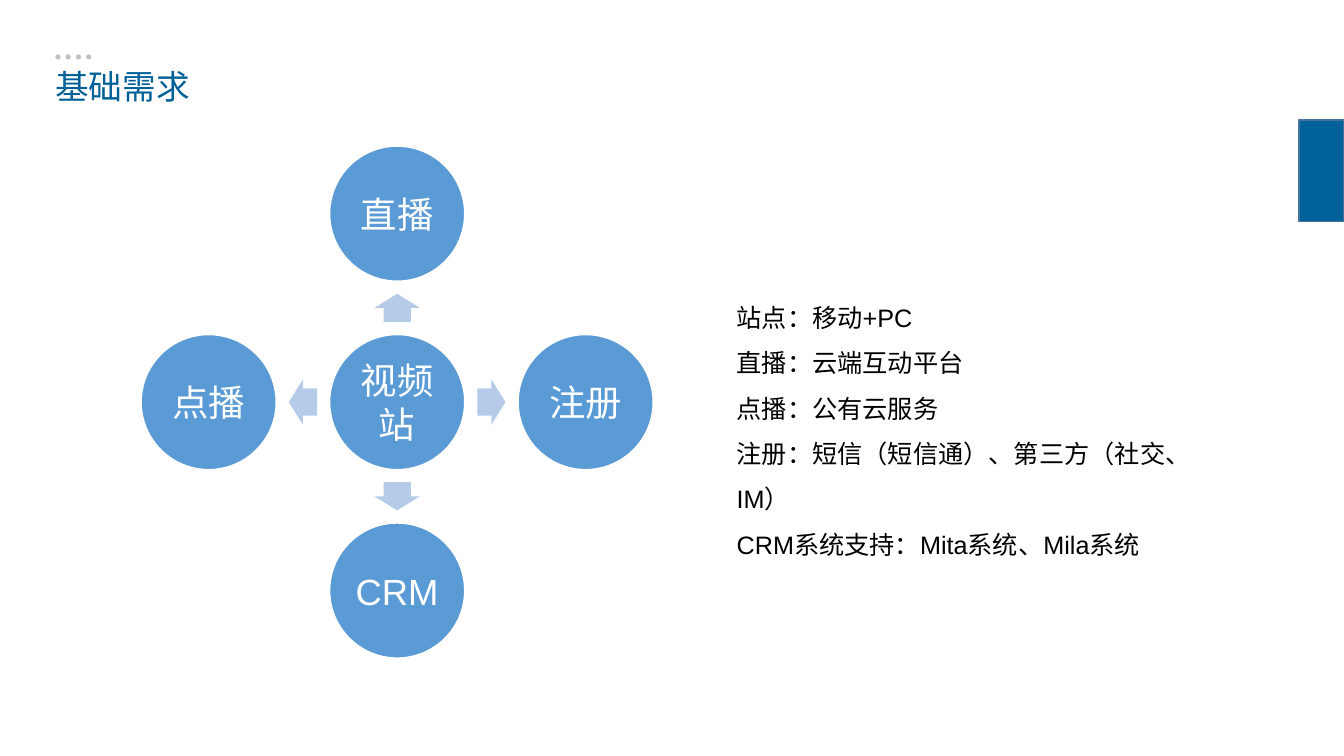
from pptx import Presentation
from pptx.dml.color import RGBColor
from pptx.enum.shapes import MSO_SHAPE
from pptx.enum.text import MSO_ANCHOR, MSO_AUTO_SIZE, PP_ALIGN
from pptx.util import Inches, Pt

OVAL, RECTANGLE, ARROW = MSO_SHAPE.OVAL, MSO_SHAPE.RECTANGLE, MSO_SHAPE.RIGHT_ARROW
CENTER, MIDDLE = PP_ALIGN.CENTER, MSO_ANCHOR.MIDDLE
GROW = MSO_AUTO_SIZE.SHAPE_TO_FIT_TEXT
COLUMNS = 160  # square cells: 160 columns by 90 rows

BLUE, BORDER, GREY = "006098", "43739E", "BFBFBF"
CIRCLE_BLUE, ARROW_BLUE = "5B9BD5", "B5CBE7"
WHITE, BLACK = "FFFFFF", "000000"


def color(value):
    return RGBColor.from_string(value)


class SlideBuilder:
    """Holds the font, the grid and the current slide."""

    def __init__(self, deck, font="Arial"):
        self.cell = deck.slide_width / COLUMNS
        self.font = font
        self.page = deck.slides.add_slide(deck.slide_layouts[6])

    def size(self, cells):
        return round(cells * self.cell)

    def shape(self, kind, left, top, width, height, fill, line=None):
        place = [self.size(cells) for cells in (left, top, width, height)]
        shape = self.page.shapes.add_shape(kind, *place)
        shape.shadow.inherit = False
        shape.fill.solid()
        shape.fill.fore_color.rgb = color(fill)
        if line:
            shape.line.color.rgb = color(line)
            shape.line.width = Pt(1)
        else:
            shape.line.fill.background()
        return shape

    def fill_text(self, frame, text, points, ink, align=None, spacing=None):
        frame.text = text
        frame.word_wrap = True
        for para in frame.paragraphs:
            para.alignment = align
            para.line_spacing = spacing
            for span in para.runs:
                span.font.name = self.font
                span.font.size = Pt(points)
                span.font.color.rgb = color(ink)

    def text(self, left, top, width, height, text, points, ink, spacing=None):
        place = [self.size(cells) for cells in (left, top, width, height)]
        box = self.page.shapes.add_textbox(*place)
        self.fill_text(box.text_frame, text, points, ink, spacing=spacing)
        box.text_frame.auto_size = GROW
        return box

    def circle(self, x, y, diameter, label):
        circle = self.shape(OVAL, x - diameter / 2, y - diameter / 2,
                            diameter, diameter, CIRCLE_BLUE, WHITE)
        frame = circle.text_frame
        frame.margin_left = frame.margin_right = Inches(0.04)
        frame.margin_top = frame.margin_bottom = Inches(0.04)
        frame.vertical_anchor = MIDDLE
        self.fill_text(frame, label, 26, WHITE, CENTER)

    def arrow(self, x, y, length, breadth, angle):
        arrow = self.shape(ARROW, x - length / 2, y - breadth / 2,
                           length, breadth, ARROW_BLUE)
        arrow.adjustments[0] = 0.6
        arrow.adjustments[1] = 0.5
        arrow.rotation = angle


def main():
    deck = Presentation()
    deck.slide_width, deck.slide_height = Inches(13.33), Inches(7.5)
    slide = SlideBuilder(deck)

    # Header dots, side tab and title
    for index in range(4):
        slide.shape(OVAL, 6.6 + 1.22 * index, 6.48, 0.6, 0.6, GREY)
    slide.shape(RECTANGLE, 154.65, 14.28, 5.35, 12.12, BLUE, BORDER)
    slide.text(5.4, 7.2, 68.52, 6, "基础需求", 24, BLUE)

    # Hub with four spokes
    hub_x, hub_y, reach, diameter = 47.28, 47.88, 22.44, 16.08
    slide.circle(hub_x, hub_y, diameter, "视频站")
    spokes = [("直播", 0, -1, 270), ("注册", 1, 0, 0),
              ("CRM", 0, 1, 90), ("点播", -1, 0, 180)]
    for label, across, down, angle in spokes:
        slide.arrow(hub_x + across * reach / 2, hub_y + down * reach / 2,
                    3.36, 5.4, angle)
        slide.circle(hub_x + across * reach, hub_y + down * reach,
                     diameter, label)

    # Requirement list
    requirements = [
        "站点：移动+PC",
        "直播：云端互动平台",
        "点播：公有云服务",
        "注册：短信（短信通）、第三方（社交、IM）",
        "CRM系统支持：Mita系统、Mila系统",
    ]
    box = slide.text(86.52, 33.6, 64.32, 28.44, "\n".join(requirements),
                     18, BLACK, spacing=1.5)
    box.text_frame.margin_right = slide.size(8.4)

    deck.save("out.pptx")


if __name__ == "__main__":
    main()
